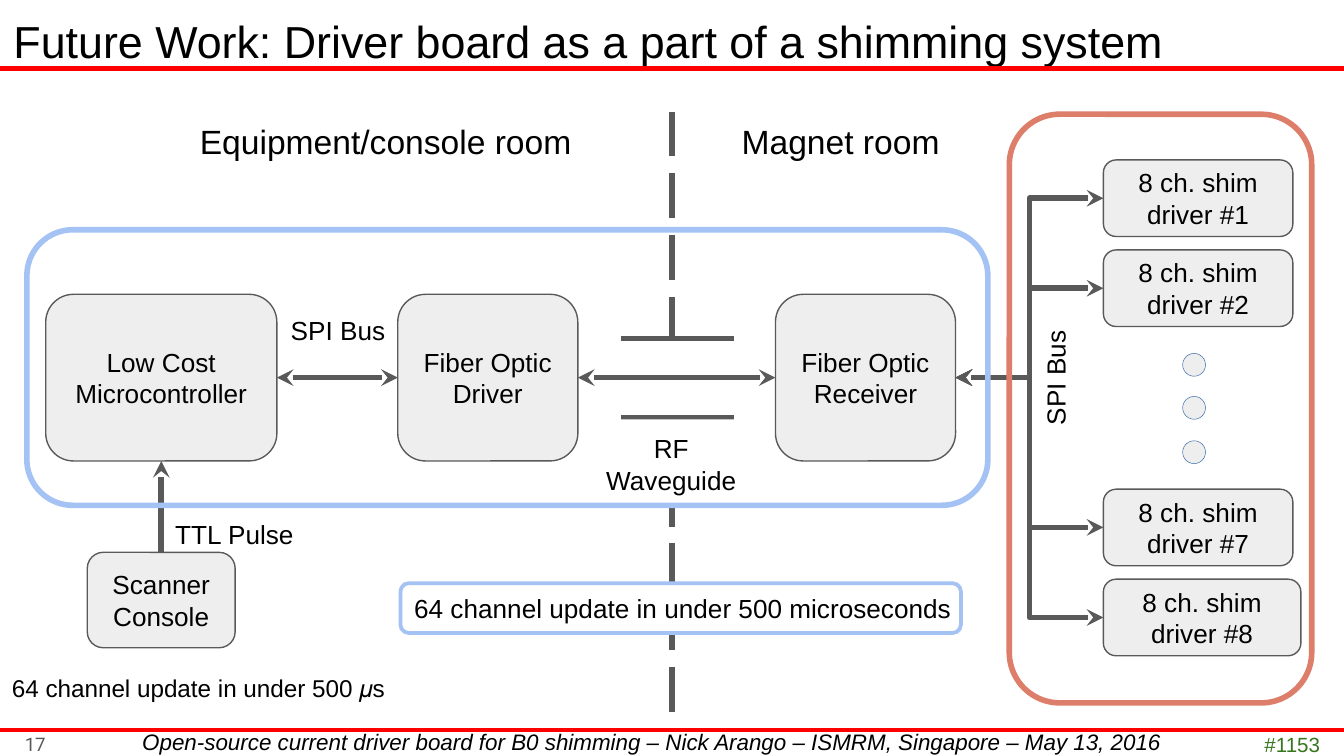
from lxml.etree import SubElement
from pptx import Presentation
from pptx.dml.color import RGBColor
from pptx.enum.dml import MSO_LINE
from pptx.enum.shapes import MSO_CONNECTOR as Connector, MSO_SHAPE as Shape
from pptx.enum.text import MSO_ANCHOR as Anchor, MSO_AUTO_SIZE as AutoSize, PP_ALIGN as Align
from pptx.oxml.ns import qn
from pptx.util import Emu, Pt

EMU_PER_PX = 9144
WIDTH = 1000
BLACK, WHITE, GRAY, LIGHT = "000000", "FFFFFF", "595959", "EEEEEE"
RED, CORAL, BLUE, GREEN = "FF0000", "DD7E6B", "A4C2F4", "38761D"
DOT_EDGE = "3465A4"
MIDDLE_Y = 281


def px(value):
    return Emu(value * EMU_PER_PX)


def color(hex_code):
    return RGBColor.from_string(hex_code)


def write(shape, text, size, align=Align.CENTER, anchor=Anchor.TOP, inset=10,
          font="Arial", ink=BLACK, italic=False):
    frame = shape.text_frame
    frame.text = text
    frame.word_wrap = True
    frame.auto_size = AutoSize.NONE
    frame.vertical_anchor = anchor
    frame.margin_left = frame.margin_right = px(inset)
    frame.margin_top = frame.margin_bottom = px(inset)
    paragraph = frame.paragraphs[0]
    paragraph.alignment = align
    for run in paragraph.runs:
        run.font.name = font
        run.font.size = Pt(size)
        run.font.italic = italic
        run.font.color.rgb = color(ink)


def add_label(slide, box, text, size=14, **style):
    label = slide.shapes.add_textbox(*map(px, box))
    write(label, text, size, **style)
    return label


def add_box(slide, box, kind=Shape.ROUNDED_RECTANGLE, fill=None, line=GRAY, weight=0.75):
    shape = slide.shapes.add_shape(kind, *map(px, box))
    shape.shadow.inherit = False
    if fill:
        shape.fill.solid()
        shape.fill.fore_color.rgb = color(fill)
    else:
        shape.fill.background()
    shape.line.color.rgb = color(line)
    shape.line.width = Pt(weight)
    return shape


def add_node(slide, box, text):
    node = add_box(slide, box, fill=LIGHT)
    write(node, text, 14, anchor=Anchor.MIDDLE)
    return node


def add_line(slide, start, end, ink=GRAY, weight=3, kind=Connector.STRAIGHT):
    line = slide.shapes.add_connector(kind, *map(px, start + end))
    line.line.color.rgb = color(ink)
    line.line.width = Pt(weight)
    SubElement(line._element.spPr, qn("a:effectLst"))
    return line


def add_arrow(slide, source, source_side, target, target_side,
              kind=Connector.STRAIGHT, ends=("headEnd", "tailEnd")):
    arrow = add_line(slide, (0, 0), (0, 0), kind=kind)
    arrow.begin_connect(source, source_side)
    arrow.end_connect(target, target_side)
    outline = arrow.line._get_or_add_ln()
    for end in ends:
        SubElement(outline, qn(f"a:{end}"), type="stealth")


def add_frame_elements(slide):
    title = slide.shapes.title
    title.left, title.top, title.width, title.height = map(px, (1, -1, 932, 63))
    write(title, "Future Work: Driver board as a part of a shimming system", 24,
          align=Align.LEFT, anchor=Anchor.MIDDLE, inset=0)
    title.text_frame.margin_left = px(9)
    for y in (51, 543):
        add_line(slide, (0, y), (WIDTH, y), RED, 2.25)
    add_label(slide, (96, 532, 781, 39),
              "Open-source current driver board for B0 shimming – Nick Arango – ISMRM, "
              "Singapore – May 13, 2016", 12, align=Align.LEFT, italic=True)
    add_label(slide, (931, 535, 69, 36), "#1153", 11, align=Align.LEFT, ink=GREEN)
    add_label(slide, (0, 532, 34, 43), "17", 10, align=Align.RIGHT,
              anchor=Anchor.MIDDLE, inset=0, font="Roboto", ink=GRAY)


def add_room_divider(slide):
    divider = add_line(slide, (500, 83), (500, 537))
    divider.line.dash_style = MSO_LINE.LONG_DASH
    add_box(slide, (474, 254, 60, 55), Shape.RECTANGLE, WHITE, WHITE)
    for y in (252, 311):
        add_line(slide, (462, y), (546, y))
    waveguide = add_label(slide, (438, 312, 123, 66), "RF Waveguide")
    waveguide.fill.solid()
    waveguide.fill.fore_color.rgb = color(WHITE)
    add_label(slide, (130, 80, 314, 48), "Equipment/console room", 18)
    add_label(slide, (516, 80, 219, 48), "Magnet room", 18)


def add_control_chain(slide):
    top, height = MIDDLE_Y - 62, 124
    controller = add_node(slide, (34, top, 172, height), "Low Cost Microcontroller")
    driver = add_node(slide, (296, top, 134, height), "Fiber Optic Driver")
    receiver = add_node(slide, (577, top, 134, height), "Fiber Optic Receiver")
    scanner = add_node(slide, (65, 411, 110, 71), "Scanner Console")
    add_arrow(slide, controller, 3, driver, 1)
    add_arrow(slide, driver, 3, receiver, 1)
    add_arrow(slide, scanner, 0, controller, 2, ends=("tailEnd",))
    add_label(slide, (190, 224, 123, 42), "SPI Bus")
    add_label(slide, (113, 376, 123, 42), "TTL Pulse")
    return receiver


def add_shim_drivers(slide, receiver):
    for number, top, width in ((1, 119, 141), (2, 186, 141), (7, 364, 141), (8, 431, 147)):
        node = add_node(slide, (821, top, width, 57), f"8 ch. shim driver #{number}")
        add_arrow(slide, receiver, 3, node, 1, kind=Connector.ELBOW)
    bus_label = add_label(slide, (723, 260, 123, 42), "SPI Bus")
    bus_label.rotation = 270
    for index in range(3):
        add_box(slide, (880, 263 + index * 65 // 2, 17, 17), Shape.OVAL, LIGHT, DOT_EDGE, 0.25)


def add_summary(slide):
    add_box(slide, (751, 85, 225, 438), line=CORAL, weight=3)
    add_box(slide, (20, 171, 715, 205), line=BLUE, weight=3)
    add_label(slide, (-1, 491, 299, 42), "64 channel update in under 500 𝜇s", 13,
              align=Align.LEFT)
    banner = add_box(slide, (298, 434, 417, 37), fill=WHITE, line=BLUE, weight=2)
    write(banner, "64 channel update in under 500 microseconds", 14,
          align=Align.RIGHT, anchor=Anchor.MIDDLE, inset=5)


def main():
    presentation = Presentation()
    presentation.slide_width = px(WIDTH)
    presentation.slide_height = Emu(px(WIDTH) * 9 // 16)
    slide = presentation.slides.add_slide(presentation.slide_layouts[5])
    add_frame_elements(slide)
    add_room_divider(slide)
    receiver = add_control_chain(slide)
    add_shim_drivers(slide, receiver)
    add_summary(slide)
    presentation.save("out.pptx")


if __name__ == "__main__":
    main()
